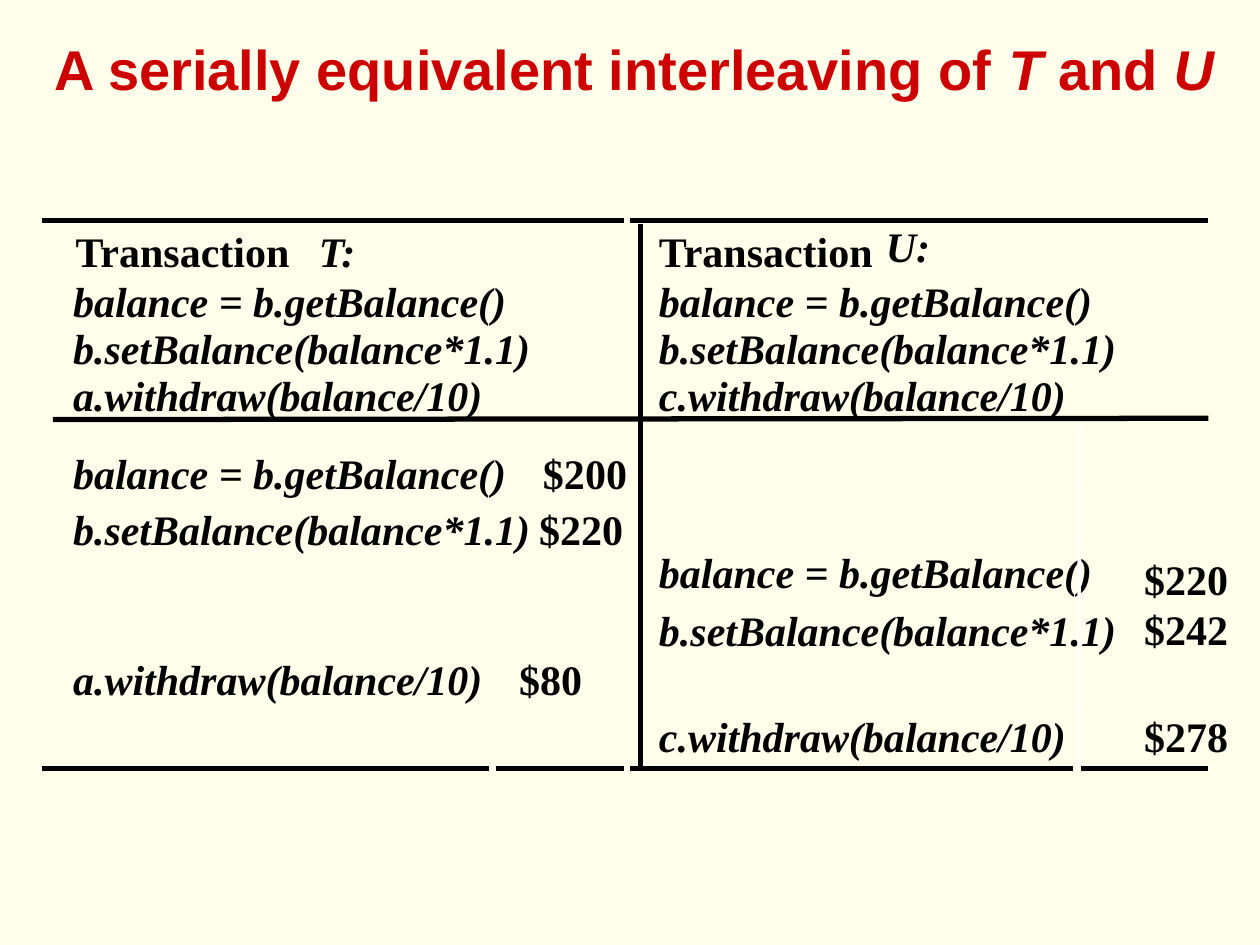
from lxml import etree
from pptx import Presentation
from pptx.dml.color import RGBColor
from pptx.enum import shapes, text
from pptx.oxml import ns
from pptx.util import Inches, Pt

CREAM = RGBColor(0xFF, 0xFF, 0xEB)
RED = RGBColor(0xCC, 0x00, 0x00)
BLACK = RGBColor(0x00, 0x00, 0x00)
WHITE = RGBColor(0xFF, 0xFF, 0xFF)

TITLE_FORMAT = {"name": "Arial", "size": Pt(32), "bold": True}
TABLE_FORMAT = {"name": "Times New Roman", "size": Pt(24), "bold": True}


def add_span(para, words, style, color, italic):
    span = para.add_run()
    span.text = words
    for key, value in {**style, "italic": italic}.items():
        setattr(span.font, key, value)
    span.font.color.rgb = color


def set_frame(frame, wrap, margins):
    side, top = margins
    values = {
        "word_wrap": wrap,
        "auto_size": text.MSO_AUTO_SIZE.NONE,
        "vertical_anchor": text.MSO_ANCHOR.TOP,
        "margin_left": Inches(side), "margin_right": Inches(side),
        "margin_top": Inches(top), "margin_bottom": Inches(top),
    }
    for key, value in values.items():
        setattr(frame, key, value)


deck = Presentation()
deck.slide_width, deck.slide_height = Inches(10), Inches(7.5)
page = deck.slides.add_slide(deck.slide_layouts[5])
page.background.fill.solid()
page.background.fill.fore_color.rgb = CREAM

# Title
title = page.shapes.title
title.left, title.top = Inches(0.33), Inches(0.22)
title.width, title.height = Inches(9.67), Inches(0.64)
set_frame(title.text_frame, True, (0.1, 0.05))
para = title.text_frame.paragraphs[0]
para.alignment = text.PP_ALIGN.LEFT
for words, italic in [("A serially equivalent interleaving of ", False),
                      ("T", True), (" and", False), (" U", True)]:
    add_span(para, words, TITLE_FORMAT, RED, italic)

# Table wording: left, top, width, words, italic
T_LEFT, U_LEFT, AMOUNT_LEFT = 0.58, 5.23, 9.08
READ, WRITE = "balance = b.getBalance()", "b.setBalance(balance*1.1)"
T_DRAW, U_DRAW = "a.withdraw(balance/10)", "c.withdraw(balance/10)"

entries = [
    (0.6, 1.79, 1.81, "Transaction", False),
    (2.53, 1.79, 0.32, "T:", True),
    (U_LEFT, 1.79, 1.81, "Transaction", False),
    (7.03, 1.75, 0.35, "U:", True),
]
# Operations of each transaction, listed in the heading
for left, draw in [(T_LEFT, T_DRAW), (U_LEFT, U_DRAW)]:
    for row, words in enumerate([READ, WRITE, draw]):
        entries.append((left, 2.19 + 0.37 * row, 3.63, words, True))

# Interleaved steps: left, top, words, then left, top of the amount
for left, top, words, amount_left, amount_top, amount in [
    (T_LEFT, 3.55, READ, 4.31, 3.55, "$200"),
    (T_LEFT, 4, WRITE, 4.28, 4, "$220"),
    (U_LEFT, 4.34, READ, AMOUNT_LEFT, 4.39, "$220"),
    (U_LEFT, 4.8, WRITE, AMOUNT_LEFT, 4.79, "$242"),
    (T_LEFT, 5.19, T_DRAW, 4.12, 5.19, "$80"),
    (U_LEFT, 5.64, U_DRAW, AMOUNT_LEFT, 5.64, "$278"),
]:
    entries.append((left, top, 3.63, words, True))
    entries.append((amount_left, amount_top, 0.67, amount, False))

for left, top, width, words, italic in entries:
    box = page.shapes.add_textbox(Inches(left), Inches(top),
                                  Inches(width), Inches(0.4))
    set_frame(box.text_frame, False, (0, 0))
    add_span(box.text_frame.paragraphs[0], words, TABLE_FORMAT, BLACK, italic)

# White strips before the amounts column
for row in range(6):
    strip = page.shapes.add_shape(shapes.MSO_SHAPE.RECTANGLE, Inches(8.55),
                                  Inches(3.38 + 0.45 * row),
                                  Inches(0.03), Inches(0.45))
    strip.shadow.inherit = False
    strip.fill.solid()
    strip.fill.fore_color.rgb = WHITE
    strip.line.fill.background()

# Rules: start x, start y, end x, end y, weight
TOP, BOTTOM = 1.75, 6.1
for x1, y1, x2, y2, weight in [
    (0.33, TOP, 4.95, TOP, 2.86),
    (5, TOP, 9.59, TOP, 2.86),
    (5.08, 1.78, 5.08, BOTTOM, 2.86),
    (0.33, BOTTOM, 3.88, BOTTOM, 2.86),
    (3.94, BOTTOM, 4.95, BOTTOM, 2.86),
    (5, BOTTOM, 8.52, BOTTOM, 2.86),
    (8.58, BOTTOM, 9.59, BOTTOM, 2.86),
    (9.59, 3.32, 0.42, 3.33, 3),
]:
    rule = page.shapes.add_connector(shapes.MSO_CONNECTOR.STRAIGHT,
                                     Inches(x1), Inches(y1),
                                     Inches(x2), Inches(y2))
    rule.line.color.rgb = BLACK
    rule.line.width = Pt(weight)
    etree.SubElement(rule.element.spPr, ns.qn("a:effectLst"))

deck.save("out.pptx")
